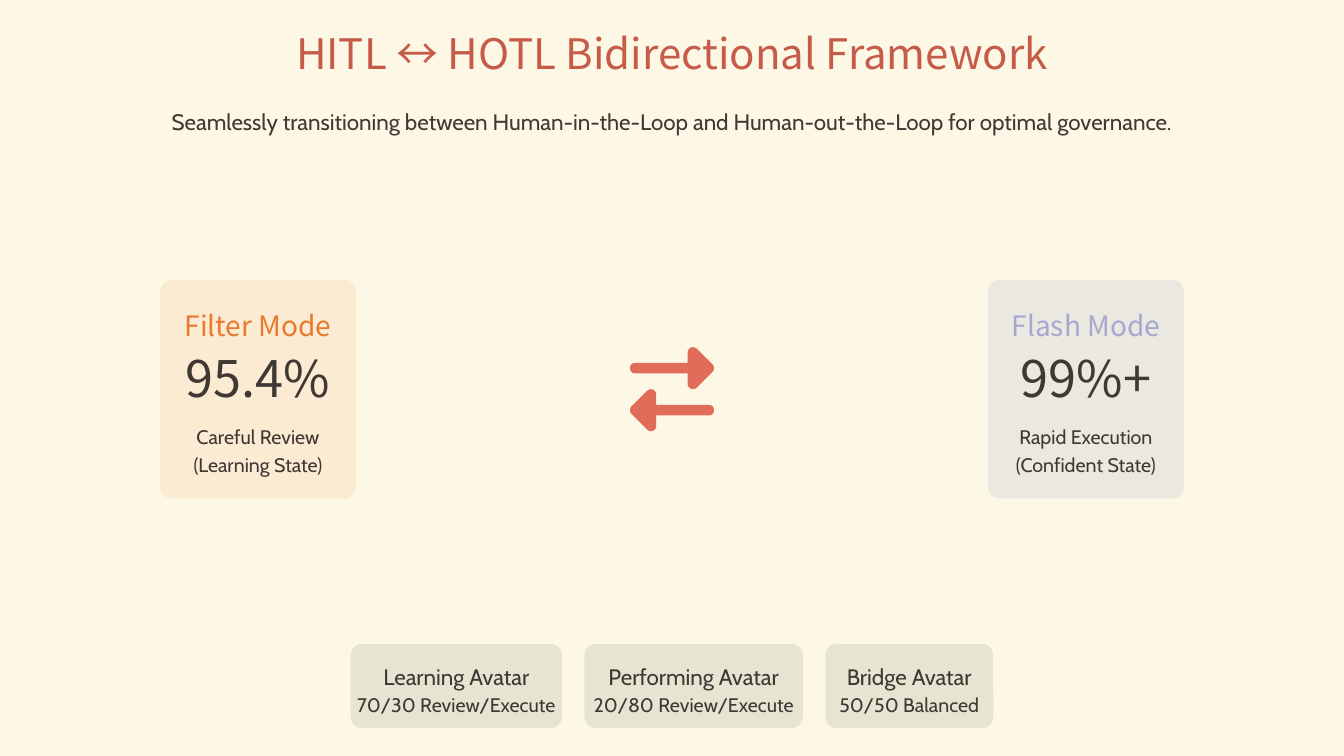
from lxml.etree import SubElement
from pptx import Presentation
from pptx.dml.color import RGBColor
from pptx.enum.shapes import MSO_SHAPE as Shape
from pptx.enum.text import MSO_ANCHOR as Anchor, PP_ALIGN as Align
from pptx.oxml.ns import qn
from pptx.util import Pt

WIDTH, HEIGHT = 960, 540
HEADING, BODY = "Noto Sans CJK SC", "Cabin"
COLORS = {
    "base": "F3F4F6", "cream": "FCF8E5", "title": "C65B49", "ink": "403833",
    "orange": "E9792E", "lilac": "A5A8D1", "coral": "E06C59",
}
RADIUS = 8


def paint(shape, color, alpha=100):
    shape.shadow.inherit = False
    shape.line.fill.background()
    shape.fill.solid()
    shape.fill.fore_color.rgb = RGBColor.from_string(COLORS[color])
    if alpha < 100:
        tint = shape._element.spPr.find(qn("a:solidFill"))[0]
        SubElement(tint, qn("a:alpha")).set("val", str(alpha * 1000))


def add_panel(page, left, top, width, height, color, alpha=100, radius=RADIUS):
    kind = Shape.ROUNDED_RECTANGLE if radius else Shape.RECTANGLE
    panel = page.shapes.add_shape(kind, Pt(left), Pt(top), Pt(width), Pt(height))
    if radius:
        panel.adjustments[0] = radius / min(width, height)
    paint(panel, color, alpha)


def add_text(page, left, top, width, height, text, size, font, color="ink", spacing=None):
    box = page.shapes.add_textbox(Pt(left), Pt(top), Pt(width), Pt(height))
    frame = box.text_frame
    frame.margin_left = frame.margin_right = frame.margin_top = frame.margin_bottom = 0
    frame.word_wrap = True
    frame.vertical_anchor = Anchor.MIDDLE
    frame.text = text
    for para in frame.paragraphs:
        para.alignment = Align.CENTER
        para.line_spacing = spacing
        for span in para.runs:
            span.font.size = Pt(size)
            span.font.name = font
            span.font.color.rgb = RGBColor.from_string(COLORS[color])
            # Symbols such as ↔ take the East Asian font
            SubElement(span.font._element, qn("a:ea")).set("typeface", font)


def add_header(page):
    add_text(page, 0, 20, WIDTH, 36, "HITL ↔ HOTL Bidirectional Framework",
             30, HEADING, "title")
    add_text(page, 89, 72, 782, 24,
             "Seamlessly transitioning between Human-in-the-Loop and "
             "Human-out-the-Loop for optimal governance.", 16, BODY, spacing=1.3)


def add_mode_card(page, left, top, width, height, name, rate, caption, color, alpha):
    add_panel(page, left, top, width, height, color, alpha)
    add_text(page, left - 4, top + 16, width + 8, 28, name, 20, HEADING, color, 1.2)
    add_text(page, left - 4, top + 52, width + 8, 40, rate, 36, HEADING, spacing=0.9)
    add_text(page, left + 16, top + 100, width - 32, 40, caption, 14, BODY, spacing=1.2)


def curve(start, first, second, end, steps=8):
    """Points along a cubic curve, without its start."""
    points = []
    for step in range(1, steps + 1):
        t = step / steps
        weights = ((1 - t) ** 3, 3 * t * (1 - t) ** 2, 3 * t * t * (1 - t), t ** 3)
        points.append(tuple(sum(w * p[axis] for w, p in zip(weights, (start, first, second, end)))
                            for axis in (0, 1)))
    return points


def add_exchange_icon(page, left, top, size):
    grid = 512
    # Right-pointing arrow, upper half of the icon grid
    arrow = [(503, 151), (407, 247)]
    for controls in [((397, 256), (384, 258), (372, 253)),
                     ((360, 248), (352, 237), (352, 224)),
                     [(352, 160)], [(32, 160)],
                     ((14, 160), (0, 146), (0, 128)),
                     ((0, 110), (14, 96), (32, 96)),
                     [(352, 96)], [(352, 32)],
                     ((352, 19), (360, 7), (372, 2)),
                     ((384, -2), (397, 0), (407, 9)),
                     [(503, 105)],
                     ((515, 118), (515, 138), (503, 151))]:
        arrow += curve(arrow[-1], *controls) if len(controls) == 3 else controls
    # The lower arrow is the upper one turned by half a turn
    turned = [(grid - x, grid - y) for x, y in arrow]
    builder = page.shapes.build_freeform(*arrow[0], scale=Pt(size) / grid)
    builder.add_line_segments(arrow[1:], close=True)
    builder.move_to(*turned[0])
    builder.add_line_segments(turned[1:], close=True)
    paint(builder.convert_to_shape(Pt(left), Pt(top)), "coral")


def add_avatar_row(page, top, height, gap, avatars):
    left = (WIDTH - sum(width for *_, width in avatars) - gap * (len(avatars) - 1)) / 2
    for name, share, width in avatars:
        add_panel(page, left, top, width, height, "ink", 10)
        add_text(page, left - 12, top + 8, width + 24, 24, name, 16, BODY, spacing=1.3)
        add_text(page, left - 12, top + 32, width + 24, 20, share, 14, BODY, spacing=1.2)
        left += width + gap


def main():
    deck = Presentation()
    deck.slide_width, deck.slide_height = Pt(WIDTH), Pt(HEIGHT)
    page = deck.slides.add_slide(deck.slide_layouts[6])
    page.background.fill.solid()
    page.background.fill.fore_color.rgb = RGBColor.from_string(COLORS["base"])
    add_panel(page, 0, 0, WIDTH, HEIGHT, "cream", radius=0)

    add_header(page)

    # Two modes with the exchange arrows between them
    margin, card_width = 114.3, 140
    add_mode_card(page, margin, 200, card_width, 156, "Filter Mode", "95.4%",
                  "Careful Review\n(Learning State)", "orange", 10)
    add_exchange_icon(page, 450, 248, 60)
    add_mode_card(page, WIDTH - margin - card_width, 200, card_width, 156, "Flash Mode",
                  "99%+", "Rapid Execution\n(Confident State)", "lilac", 20)

    # Avatars with their review and execution shares
    add_avatar_row(page, 460, 60, 16, [
        ("Learning Avatar", "70/30 Review/Execute", 151),
        ("Performing Avatar", "20/80 Review/Execute", 156),
        ("Bridge Avatar", "50/50 Balanced", 120),
    ])
    deck.save("out.pptx")


if __name__ == "__main__":
    main()
